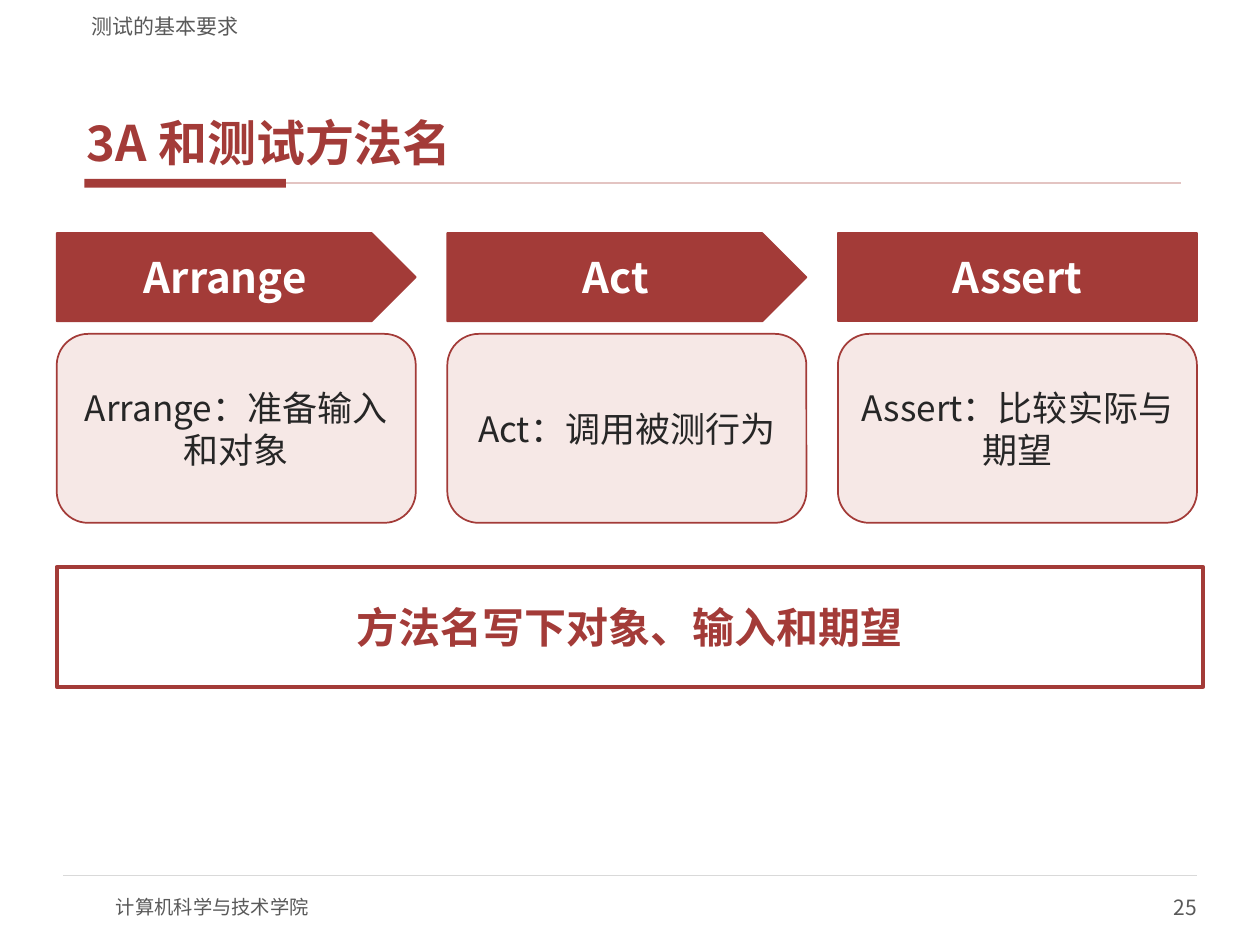
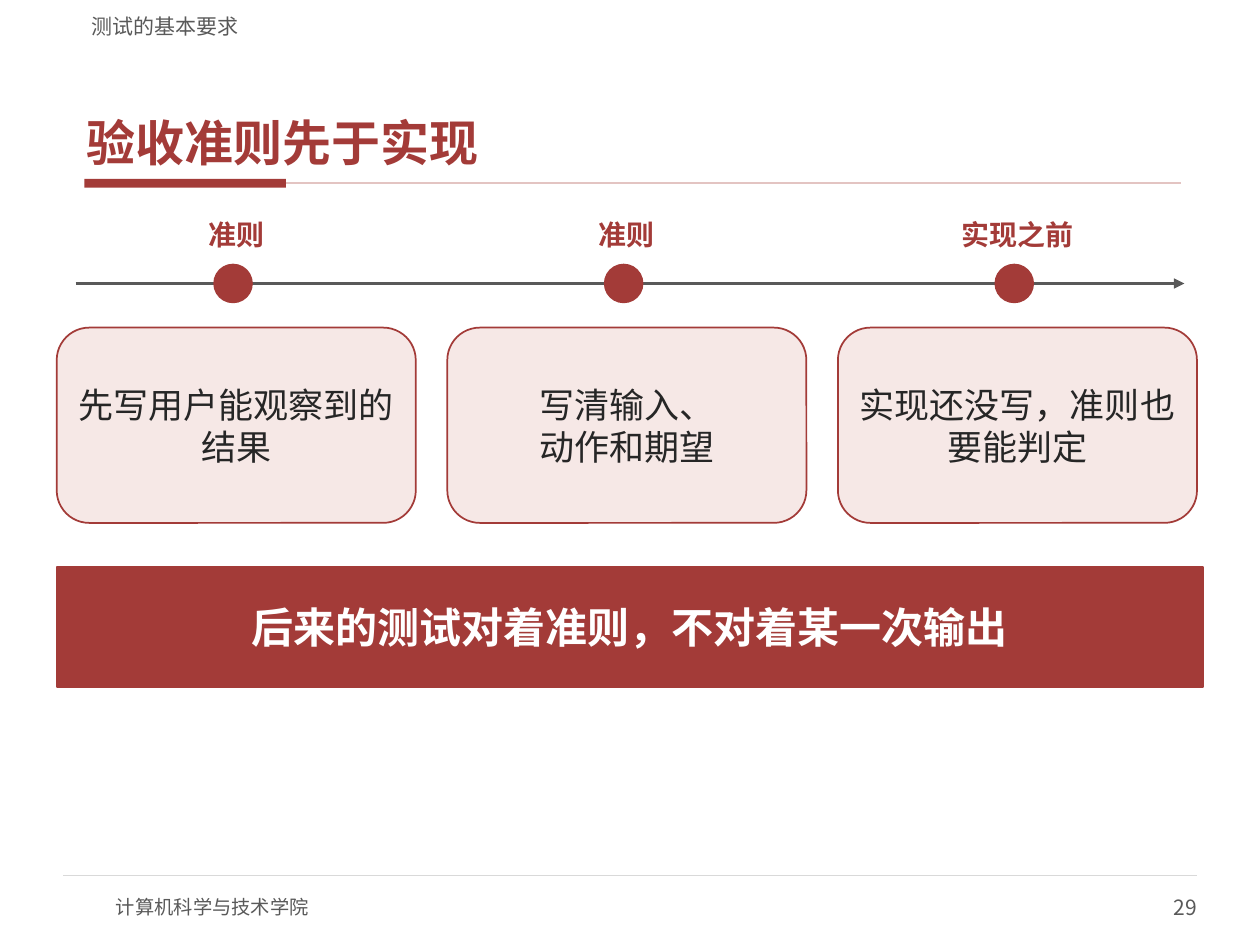
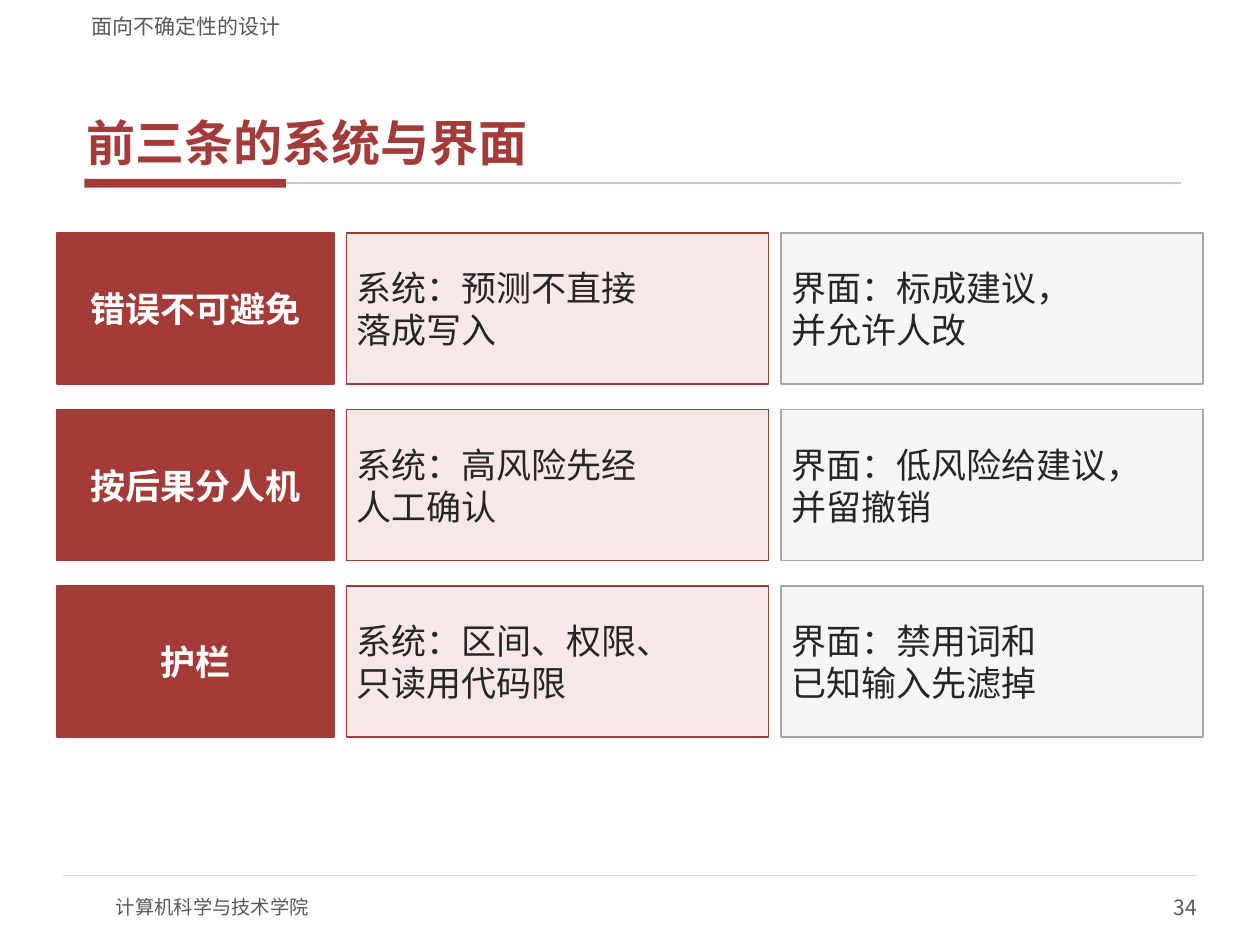
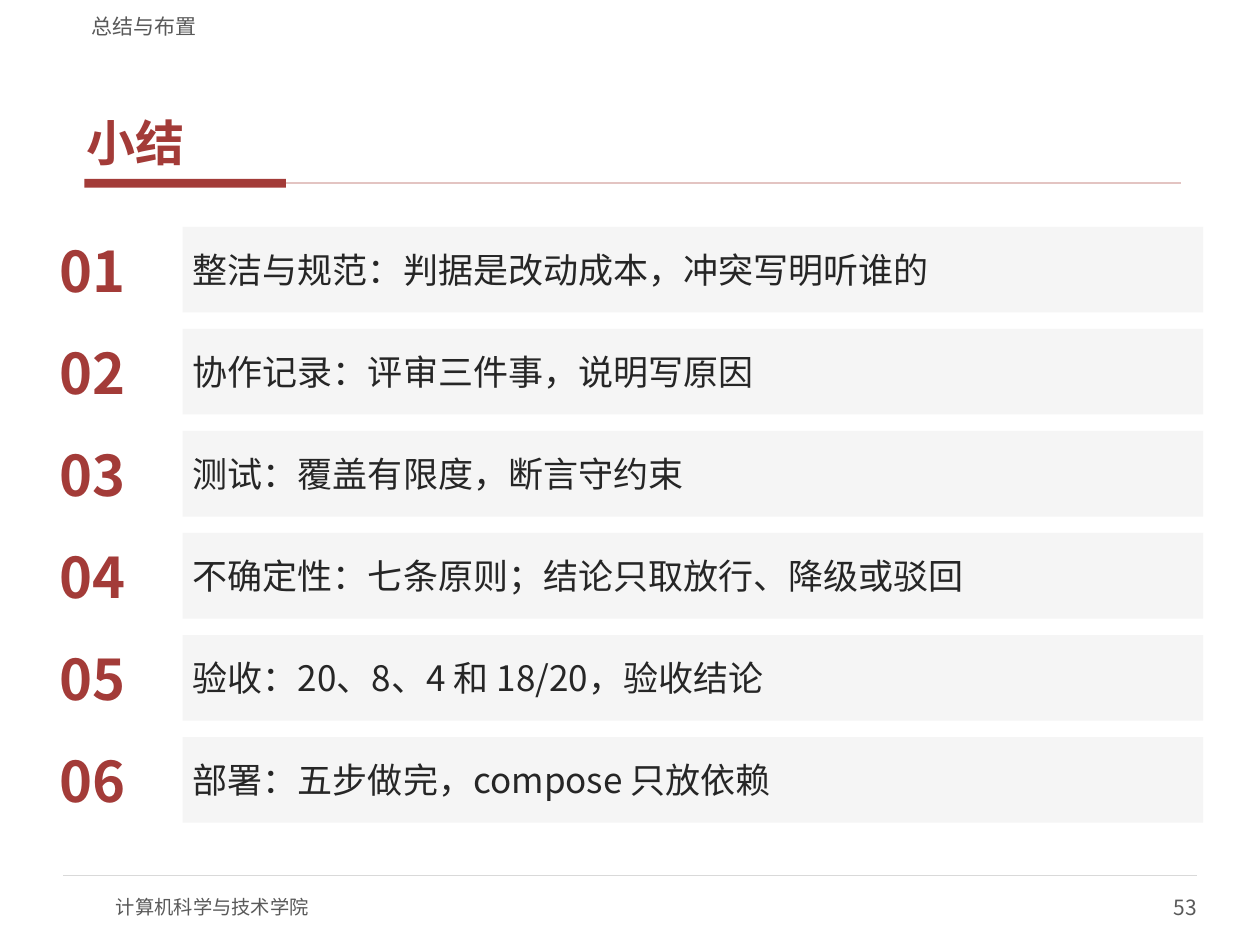
"""Build four lecture slides on testing, acceptance criteria and design principles."""
from dataclasses import dataclass, replace
from typing import NamedTuple, Optional

from lxml import etree
from pptx import Presentation
from pptx.dml.color import RGBColor
from pptx.enum.shapes import MSO_CONNECTOR, MSO_SHAPE
from pptx.enum.text import MSO_ANCHOR, PP_ALIGN
from pptx.oxml.ns import qn
from pptx.shapes.autoshape import Shape
from pptx.shapes.connector import Connector
from pptx.slide import Slide
from pptx.util import Emu, Pt

RECT = MSO_SHAPE.RECTANGLE
ROUNDED = MSO_SHAPE.ROUNDED_RECTANGLE
PENTAGON = MSO_SHAPE.PENTAGON
OVAL = MSO_SHAPE.OVAL
STRAIGHT = MSO_CONNECTOR.STRAIGHT
LEFT, CENTER, RIGHT = PP_ALIGN.LEFT, PP_ALIGN.CENTER, PP_ALIGN.RIGHT
MIDDLE, BOTTOM = MSO_ANCHOR.MIDDLE, MSO_ANCHOR.BOTTOM

EMU_PER_PX = 9144
FONT = "Noto Sans CJK SC"
RED, PALE_RED, RULE_RED = "A33B38", "F6E8E6", "E3C4C2"
WHITE, PALE_GRAY, MID_GRAY, RULE_GRAY = "FFFFFF", "F5F5F5", "A6A6A6", "D9D9D9"
DARK, MUTED = "262626", "595959"
RIGHT_SIDE = 3

MARGIN = 45
CONTENT_WIDTH = 910
CONTENT_TOP = 185
COLUMN_WIDTH = 285
COLUMN_STEP = 310
MARKER_CENTER = 140
MARKER_SIZE = 30


class Area(NamedTuple):
    """A rectangle in px."""
    left: int
    top: int
    width: int
    height: int


@dataclass(frozen=True)
class Look:
    """The outline, fill and text format of a box; no kind means a text box."""
    kind: Optional[MSO_SHAPE] = None
    fill: Optional[str] = None
    line: Optional[str] = None
    line_width: float = 1
    size: int = 20
    color: str = DARK
    bold: bool = False
    align: PP_ALIGN = CENTER
    anchor: MSO_ANCHOR = MIDDLE
    inset: tuple[int, int] = (8, 4)
    space_after: int = 0


@dataclass(frozen=True)
class Stage:
    """One column: a heading, its shape and the card below."""
    heading: str
    card: str
    kind: MSO_SHAPE = PENTAGON


@dataclass(frozen=True)
class Principle:
    """One row: a principle with its system and interface sides."""
    name: str
    system: str
    interface: str


SECTION = Look(size=12, color=MUTED, align=LEFT, anchor=BOTTOM, inset=(10, 0))
TITLE = Look(size=28, color=RED, bold=True, align=LEFT, anchor=BOTTOM,
             inset=(6, 2), space_after=2)
FOOTER = Look(size=11, color=MUTED, align=LEFT, inset=(0, 0))
PAGE_NUMBER = replace(FOOTER, size=12, align=RIGHT)
SOLID = Look(RECT, RED, RED, color=WHITE, bold=True)
SOLID_LARGE = replace(SOLID, size=24)
OUTLINED = replace(SOLID_LARGE, fill=WHITE, line_width=2.25, color=RED)
ACCENT = Look(RECT, RED)
MARKER = Look(OVAL, RED, RED)
CARD = Look(ROUNDED, PALE_RED, RED)
SYSTEM_CELL = Look(RECT, PALE_RED, RED, align=LEFT)
INTERFACE_CELL = Look(RECT, PALE_GRAY, MID_GRAY, align=LEFT)
SUMMARY_BAR = Look(RECT, PALE_GRAY, align=LEFT)
MILESTONE = Look(size=16, color=RED, bold=True, inset=(2, 1))
SUMMARY_NUMBER = replace(MILESTONE, size=32, align=LEFT)

CONCLUSION = Area(MARGIN, 450, CONTENT_WIDTH, 95)

TEST_STAGES = (
    Stage("Arrange", "Arrange：准备输入和对象"),
    Stage("Act", "Act：调用被测行为"),
    Stage("Assert", "Assert：比较实际与期望", RECT),
)
CRITERIA_STAGES = (
    Stage("准则", "先写用户能观察到的结果"),
    Stage("准则", "写清输入、\n动作和期望"),
    Stage("实现之前", "实现还没写，准则也要能判定"),
)
PRINCIPLES = (
    Principle("错误不可避免", "系统：预测不直接\n落成写入", "界面：标成建议，\n并允许人改"),
    Principle("按后果分人机", "系统：高风险先经\n人工确认", "界面：低风险给建议，\n并留撤销"),
    Principle("护栏", "系统：区间、权限、\n只读用代码限", "界面：禁用词和\n已知输入先滤掉"),
)
SUMMARY = (
    "整洁与规范：判据是改动成本，冲突写明听谁的",
    "协作记录：评审三件事，说明写原因",
    "测试：覆盖有限度，断言守约束",
    "不确定性：七条原则；结论只取放行、降级或驳回",
    "验收：20、8、4 和 18/20，验收结论",
    "部署：五步做完，compose 只放依赖",
)


def px(length: int) -> Emu:
    """Turn px into EMU."""
    return Emu(length * EMU_PER_PX)


def rgb(value: str) -> RGBColor:
    """Turn a hex string into a colour."""
    return RGBColor.from_string(value)


def assign(target: object, values: dict) -> None:
    """Set each named attribute of the target."""
    for name, value in values.items():
        setattr(target, name, value)


def write(shape: Shape, text: str, look: Look) -> None:
    """Put formatted text into a shape."""
    frame = shape.text_frame
    across, down = map(px, look.inset)
    assign(frame, {"word_wrap": True, "vertical_anchor": look.anchor,
                   "margin_left": across, "margin_right": across,
                   "margin_top": down, "margin_bottom": down})
    paragraph = frame.paragraphs[0]
    paragraph.text = text
    assign(paragraph, {"alignment": look.align, "space_after": Pt(look.space_after)})
    for run in paragraph.runs:
        assign(run.font, {"name": FONT, "size": Pt(look.size), "bold": look.bold})
        run.font.color.rgb = rgb(look.color)
        etree.SubElement(run.font._element, qn("a:ea"), typeface=FONT)


def draw(slide: Slide, area: Area, look: Look, text: str = "") -> Shape:
    """Draw one box with its look and text."""
    bounds = [px(length) for length in area]
    if look.kind is None:
        shape = slide.shapes.add_textbox(*bounds)
    else:
        shape = slide.shapes.add_shape(look.kind, *bounds)
        shape.shadow.inherit = False
        shape.fill.solid()
        shape.fill.fore_color.rgb = rgb(look.fill)
        if look.line:
            shape.line.color.rgb = rgb(look.line)
            shape.line.width = Pt(look.line_width)
        else:
            shape.line.fill.background()
    if text:
        write(shape, text, look)
    return shape


def draw_rule(slide: Slide, left: int, right: int, y: int, color: str,
              width: float, arrow: bool = False) -> Connector:
    """Draw a horizontal line, with an arrowhead on the right if asked."""
    rule = slide.shapes.add_connector(STRAIGHT, px(left), px(y), px(right), px(y))
    rule.line.color.rgb = rgb(color)
    rule.line.width = Pt(width)
    if arrow:
        etree.SubElement(rule.line._get_or_add_ln(), qn("a:tailEnd"), type="triangle")
    etree.SubElement(rule._element.spPr, qn("a:effectLst"))
    return rule


def add_page(deck: Presentation, section: str, title: str, number: int) -> Slide:
    """Add a blank slide with the shared title, bands and footer."""
    slide = deck.slides.add_slide(deck.slide_layouts[6])
    accent = draw(slide, Area(67, 142, 160, 7), ACCENT)
    title_rule = draw_rule(slide, 227, 937, 146, RULE_RED, 1)
    title_rule.begin_connect(accent, RIGHT_SIDE)
    title_rule.end_y = title_rule.begin_y
    draw_rule(slide, 50, 950, 695, RULE_GRAY, 0.75)
    draw(slide, Area(92, 700, 400, 40), FOOTER, "计算机科学与技术学院")
    draw(slide, Area(750, 700, 200, 40), PAGE_NUMBER, str(number))
    draw(slide, Area(63, 33, 875, 105), TITLE, title)
    draw(slide, Area(63, 4, 875, 27), SECTION, section)
    return slide


def draw_test_stages(slide: Slide) -> None:
    """Draw the three test stages and the naming rule."""
    for index, stage in enumerate(TEST_STAGES):
        left = MARGIN + index * COLUMN_STEP
        draw(slide, Area(left, CONTENT_TOP, COLUMN_WIDTH, 70),
             replace(SOLID_LARGE, kind=stage.kind), stage.heading)
        draw(slide, Area(left, 265, COLUMN_WIDTH, 150), CARD, stage.card)
    draw(slide, CONCLUSION, OUTLINED, "方法名写下对象、输入和期望")


def draw_criteria_timeline(slide: Slide) -> None:
    """Draw the timeline of acceptance criteria and its conclusion."""
    axis = 225
    draw_rule(slide, 60, 940, axis, MUTED, 1.75, arrow=True)
    for index, stage in enumerate(CRITERIA_STAGES):
        left = MARGIN + index * COLUMN_STEP
        draw(slide, Area(left + MARKER_CENTER - MARKER_SIZE // 2, axis - MARKER_SIZE // 2,
                         MARKER_SIZE, MARKER_SIZE), MARKER)
        draw(slide, Area(left, 170, COLUMN_WIDTH, 32), MILESTONE, stage.heading)
        draw(slide, Area(left, 260, COLUMN_WIDTH, 155), CARD, stage.card)
    draw(slide, CONCLUSION, SOLID_LARGE, "后来的测试对着准则，不对着某一次输出")


def draw_principles(slide: Slide) -> None:
    """Draw each principle beside its system and interface cells."""
    for index, principle in enumerate(PRINCIPLES):
        top = CONTENT_TOP + index * 140
        draw(slide, Area(MARGIN, top, 220, 120), SOLID, principle.name)
        draw(slide, Area(275, top, 335, 120), SYSTEM_CELL, principle.system)
        draw(slide, Area(620, top, 335, 120), INTERFACE_CELL, principle.interface)


def draw_summary(slide: Slide) -> None:
    """Draw the numbered summary bars."""
    number_width = 100
    for index, point in enumerate(SUMMARY):
        top = 180 + index * 81
        draw(slide, Area(MARGIN, top, number_width, 68), SUMMARY_NUMBER, f"{index + 1:02}")
        draw(slide, Area(MARGIN + number_width, top, CONTENT_WIDTH - number_width, 68),
             SUMMARY_BAR, point)


def main() -> None:
    """Build and save the deck."""
    deck = Presentation()
    assign(deck, {"slide_width": px(1000), "slide_height": px(750)})
    draw_test_stages(add_page(deck, "测试的基本要求", "3A 和测试方法名", 25))
    draw_criteria_timeline(add_page(deck, "测试的基本要求", "验收准则先于实现", 29))
    draw_principles(add_page(deck, "面向不确定性的设计", "前三条的系统与界面", 34))
    draw_summary(add_page(deck, "总结与布置", "小结", 53))
    deck.save("out.pptx")


if __name__ == "__main__":
    main()
